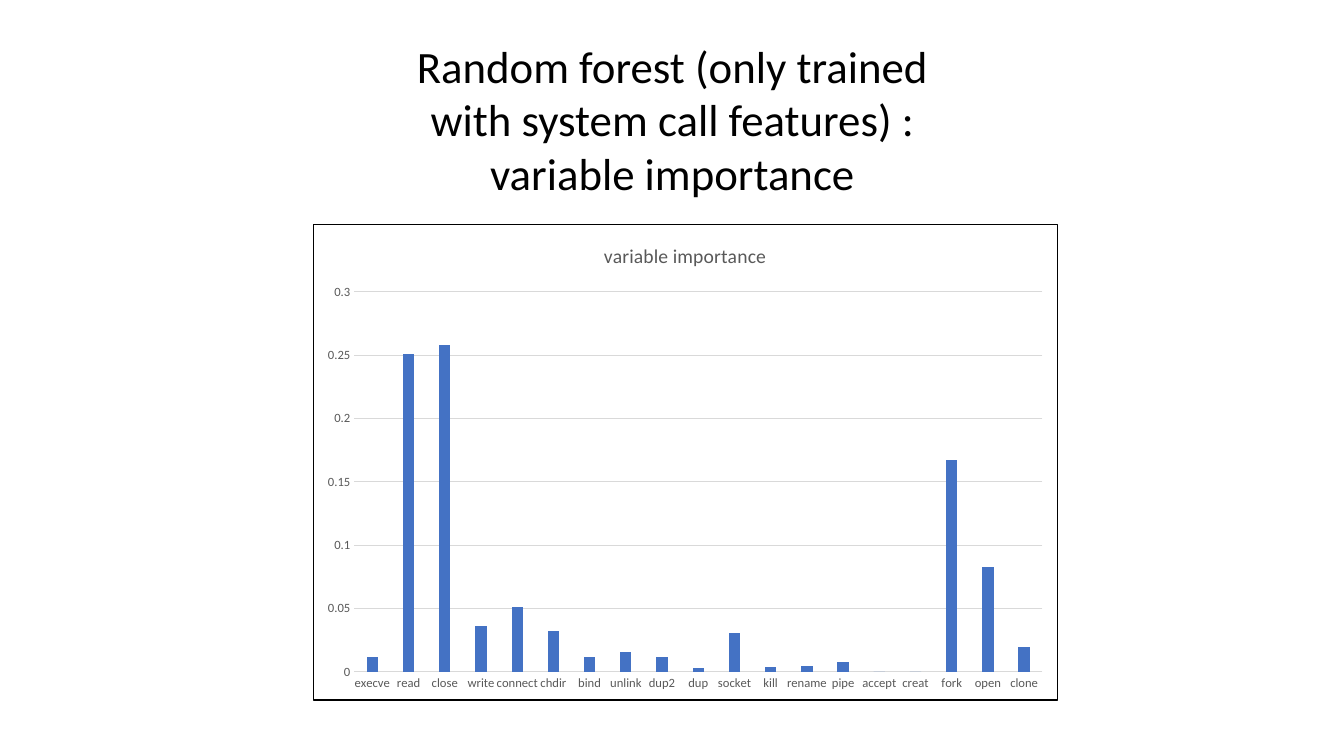
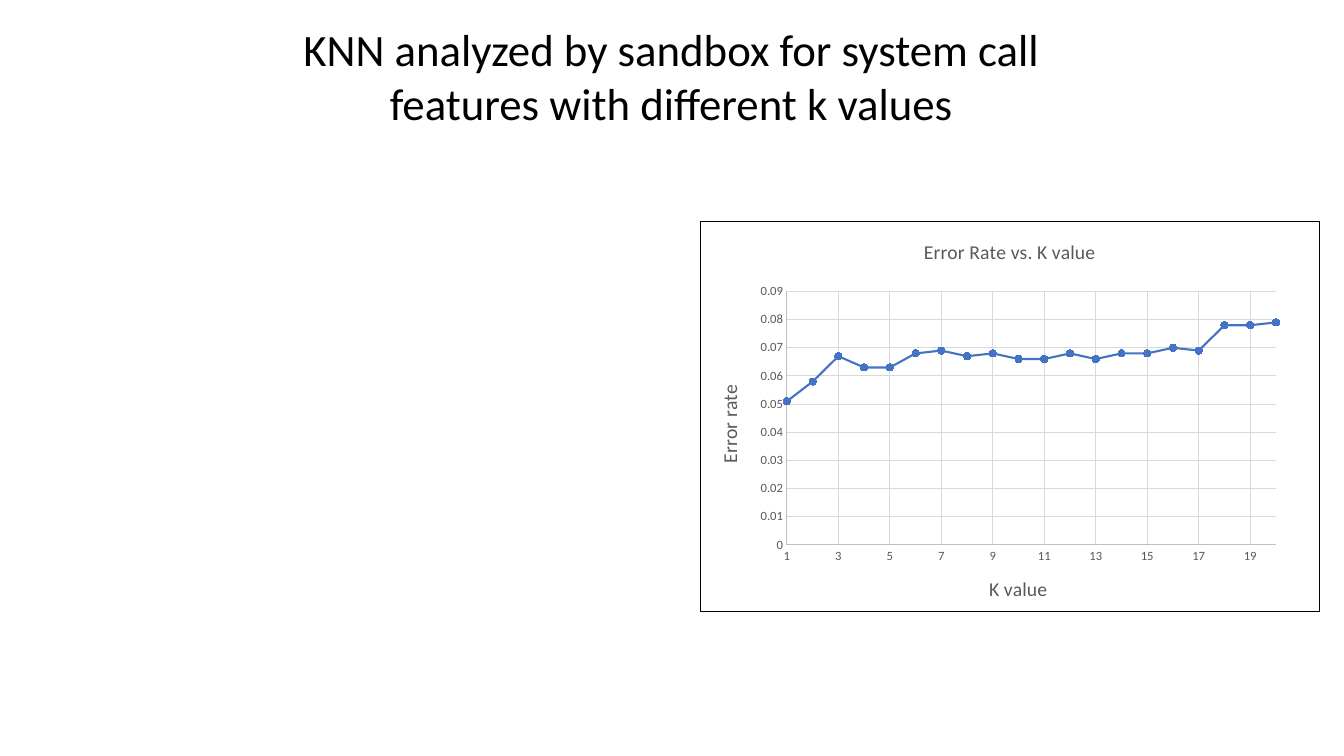
"""Build two slides charting random forest and KNN results."""
from lxml import etree
from pptx import Presentation
from pptx.chart.data import CategoryChartData, XyChartData
from pptx.dml.color import RGBColor
from pptx.enum.chart import XL_CHART_TYPE, XL_MARKER_STYLE, XL_TICK_MARK
from pptx.enum.text import MSO_AUTO_SIZE, PP_ALIGN
from pptx.oxml import parse_xml
from pptx.oxml.ns import nsdecls, qn
from pptx.util import Inches, Pt

COLUMNS = XL_CHART_TYPE.COLUMN_CLUSTERED
SCATTER = XL_CHART_TYPE.XY_SCATTER_LINES
CIRCLE = XL_MARKER_STYLE.CIRCLE
NO_TICK = XL_TICK_MARK.NONE
CENTER = PP_ALIGN.CENTER
GROW = MSO_AUTO_SIZE.SHAPE_TO_FIT_TEXT

FONT = "Calibri"
BLACK, GRAY, GRID, AXIS, BLUE = "000000", "595959", "D9D9D9", "BFBFBF", "4472C4"

IMPORTANCE = {
    "execve": 0.012, "read": 0.251, "close": 0.258, "write": 0.036,
    "connect": 0.051, "chdir": 0.032, "bind": 0.012, "unlink": 0.016,
    "dup2": 0.012, "dup": 0.003, "socket": 0.031, "kill": 0.004,
    "rename": 0.005, "pipe": 0.008, "accept": 0, "creat": 0,
    "fork": 0.167, "open": 0.083, "clone": 0.02,
}
ERROR_RATES = [
    0.051, 0.058, 0.067, 0.063, 0.063, 0.068, 0.069, 0.067, 0.068, 0.066,
    0.066, 0.068, 0.066, 0.068, 0.068, 0.07, 0.069, 0.078, 0.078, 0.079,
]


def rgb(value):
    """Return the colour of a hex string."""
    return RGBColor.from_string(value)


def style_font(font, size, color):
    """Apply the deck's typeface with a size and colour."""
    font.name = FONT
    font.size = Pt(size)
    font.bold = False
    font.color.rgb = rgb(color)


def style_line(line, color, width=0.75):
    """Give a line a solid colour and width."""
    line.color.rgb = rgb(color)
    line.width = Pt(width)


def add_title(slide, text, left, top, width, height):
    """Add a centred slide title."""
    box = slide.shapes.add_textbox(*map(Inches, (left, top, width, height)))
    frame = box.text_frame
    frame.word_wrap = True
    frame.auto_size = GROW
    frame.text = text
    paragraph = frame.paragraphs[0]
    paragraph.alignment = CENTER
    style_font(paragraph.runs[0].font, 32, BLACK)


def set_caption(title, text):
    """Write a chart or axis title."""
    title.text_frame.text = text
    style_font(title.text_frame.paragraphs[0].runs[0].font, 14, GRAY)


def add_border(chart):
    """Frame a chart in black on white."""
    border = parse_xml(
        f'<c:spPr {nsdecls("c", "a")}>'
        '<a:solidFill><a:srgbClr val="FFFFFF"/></a:solidFill>'
        f'<a:ln w="{Pt(0.75)}"><a:solidFill><a:srgbClr val="{BLACK}"/>'
        '</a:solidFill></a:ln></c:spPr>')
    chart.element.find(qn("c:chart")).addnext(border)


def set_plot_area(chart, x, y, w, h):
    """Fix the inner plot area as fractions of the chart."""
    area = chart.element.find(".//" + qn("c:plotArea"))
    for previous in area.findall(qn("c:layout")):
        area.remove(previous)
    layout = parse_xml(f'<c:layout {nsdecls("c")}><c:manualLayout/></c:layout>')
    settings = {"layoutTarget": "inner", "xMode": "edge", "yMode": "edge",
                "x": x, "y": y, "w": w, "h": h}
    for tag, value in settings.items():
        etree.SubElement(layout[0], qn(f"c:{tag}")).set("val", str(value))
    area.insert(0, layout)


def style_axis(axis, line=None, grid=True, limits=None, caption=None):
    """Style an axis, with optional limits as minimum, maximum and step."""
    axis.major_tick_mark = axis.minor_tick_mark = NO_TICK
    style_font(axis.tick_labels.font, 9, GRAY)
    axis.has_major_gridlines = grid
    if grid:
        style_line(axis.major_gridlines.format.line, GRID)
    if line:
        style_line(axis.format.line, line)
    else:
        axis.format.line.fill.background()
    if limits:
        axis.minimum_scale, axis.maximum_scale, axis.major_unit = limits
    if caption:
        set_caption(axis.axis_title, caption)


def add_chart(slide, kind, data, caption, left, top, width, height):
    """Add a bordered chart with a title and no legend."""
    place = map(Inches, (left, top, width, height))
    chart = slide.shapes.add_chart(kind, *place, data).chart
    style_font(chart.font, 10, BLACK)
    chart.has_legend = False
    chart.has_title = True
    set_caption(chart.chart_title, caption)
    chart.plots[0].vary_by_categories = False
    add_border(chart)
    return chart


def add_importance_chart(slide):
    """Add the columns of variable importance."""
    data = CategoryChartData()
    data.categories = list(IMPORTANCE)
    data.add_series("Series 1", list(IMPORTANCE.values()))
    chart = add_chart(slide, COLUMNS, data, "variable importance",
                      3.1, 2.22, 7.39, 4.73)
    style_axis(chart.category_axis, line=GRID, grid=False)
    style_axis(chart.value_axis, limits=(0, 0.3, 0.05))
    plot = chart.plots[0]
    plot.gap_width = 219
    plot.overlap = -27
    fill = plot.series[0].format.fill
    fill.solid()
    fill.fore_color.rgb = rgb(BLUE)


def add_error_chart(slide):
    """Add the curve of error rate against k."""
    data = XyChartData()
    points = data.add_series("Series 1")
    for k, rate in enumerate(ERROR_RATES, 1):
        points.add_data_point(k, rate)
    chart = add_chart(slide, SCATTER, data, "Error Rate vs. K value",
                      6.94, 2.19, 6.15, 3.88)
    style_axis(chart.category_axis, AXIS, limits=(1, 20, 2), caption="K value")
    style_axis(chart.value_axis, AXIS, limits=(0, 0.09, 0.01),
               caption="Error rate")
    set_plot_area(chart, 0.14, 0.18, 0.79, 0.65)
    curve = chart.plots[0].series[0]
    curve.smooth = False
    style_line(curve.format.line, BLUE, 1.5)
    marker = curve.marker
    marker.style = CIRCLE
    marker.size = 5
    marker.format.fill.solid()
    marker.format.fill.fore_color.rgb = rgb(BLUE)
    style_line(marker.format.line, BLUE)


def main():
    """Build and save the presentation."""
    deck = Presentation()
    deck.slide_width, deck.slide_height = Inches(13.33), Inches(7.5)
    blank = deck.slide_layouts[6]

    forest = deck.slides.add_slide(blank)
    add_title(forest, "Random forest (only trained with system call features)"
              " : variable importance", 3.86, 0.33, 5.62, 1.72)
    add_importance_chart(forest)

    knn = deck.slides.add_slide(blank)
    add_title(knn, "KNN analyzed by sandbox for system call features"
              " with different k values", 2.33, 0.17, 8.66, 1.18)
    add_error_chart(knn)

    deck.save("out.pptx")


if __name__ == "__main__":
    main()
